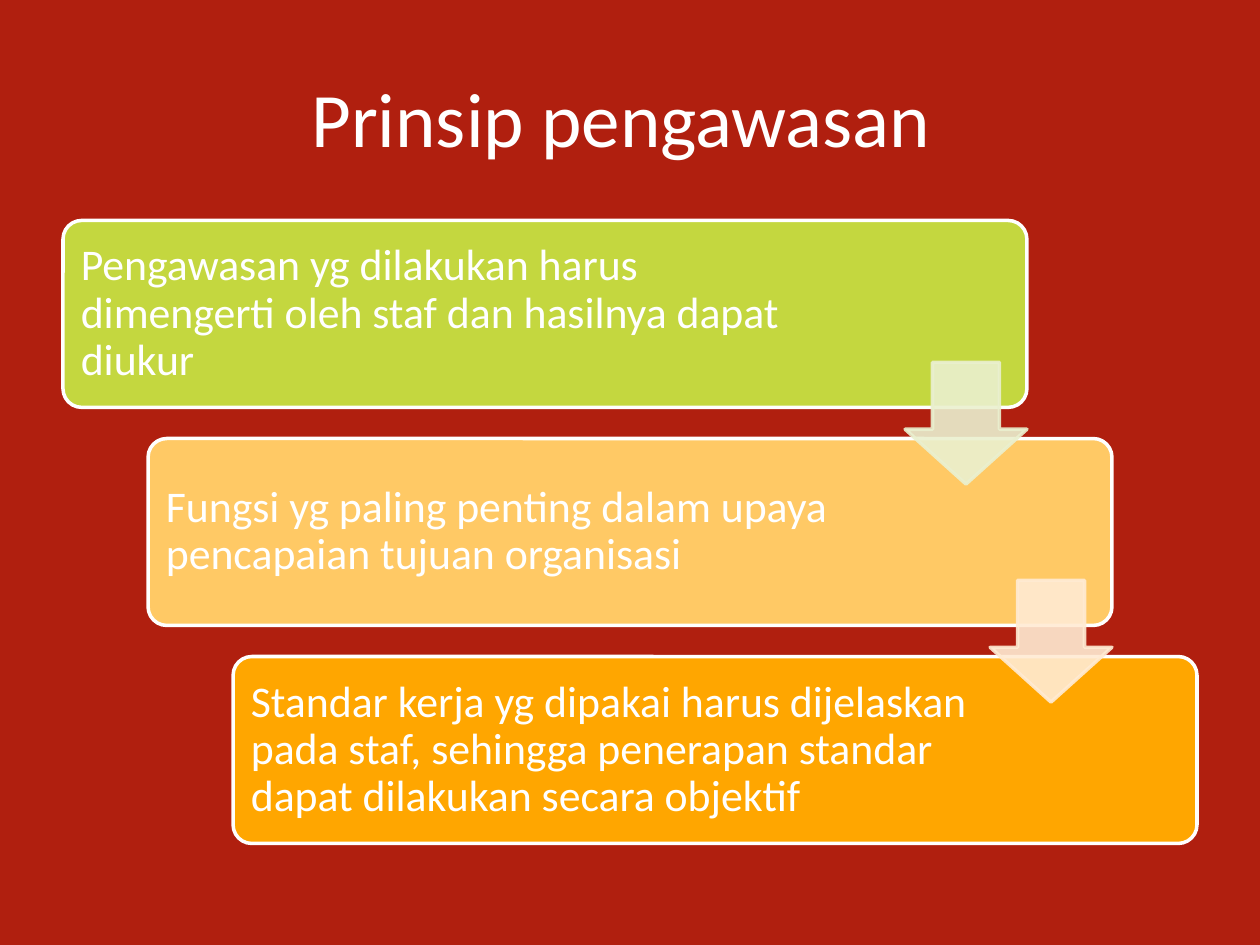
from dataclasses import dataclass

from lxml import etree
from pptx import Presentation
from pptx.dml.color import RGBColor
from pptx.enum.shapes import MSO_SHAPE
from pptx.enum.text import MSO_ANCHOR, PP_ALIGN
from pptx.oxml.ns import qn
from pptx.util import Pt

ROUNDED = MSO_SHAPE.ROUNDED_RECTANGLE
DOWN_ARROW = MSO_SHAPE.DOWN_ARROW
MIDDLE = MSO_ANCHOR.MIDDLE
LEFT, CENTER = PP_ALIGN.LEFT, PP_ALIGN.CENTER

FONT = "Calibri"
WHITE = "FFFFFF"
BOX_LEFT, BOX_TOP, BOX_W, BOX_H = 36, 126, 550.8, 106.8
STEP_X, STEP_Y = 48.6, 124.6
TEXT_GAP = 3.1
ARROW_SIZE, ARROW_DROP = 69.6, 81


@dataclass
class Principle:
    """One step of the staircase; arrow is the colour of the arrow leaving it."""
    text: str
    fill: str
    text_width: float
    arrow: str = ""


PRINCIPLES = [
    Principle("Pengawasan yg dilakukan harus dimengerti oleh staf dan hasilnya "
              "dapat diukur ", "C4D73F", 435.6, "EAF0CF"),
    Principle("Fungsi yg paling penting dalam upaya pencapaian tujuan organisasi ",
              "FFC965", 426, "FFEBD3"),
    Principle("Standar kerja yg dipakai harus dijelaskan pada staf, sehingga "
              "penerapan standar dapat dilakukan secara objektif ", "FFA600", 426),
]


def rgb(value: str) -> RGBColor:
    """Turn a hex string into a colour."""
    return RGBColor.from_string(value)


def add_shape(s, kind, x: float, y: float, w: float, h: float,
              adjustments: list[float], fill: str, line: str):
    """Add a filled, outlined preset shape without shadow."""
    sp = s.shapes.add_shape(kind, Pt(x), Pt(y), Pt(w), Pt(h))
    sp.shadow.inherit = False
    for i, value in enumerate(adjustments):
        sp.adjustments[i] = value
    sp.fill.solid()
    sp.fill.fore_color.rgb = rgb(fill)
    sp.line.color.rgb = rgb(line)
    sp.line.width = Pt(2)
    return sp


def set_opacity(sp, percent: int) -> None:
    """Make the fill and the line of a shape partly transparent."""
    for color in sp._element.spPr.iter(qn("a:srgbClr")):
        etree.SubElement(color, qn("a:alpha")).set("val", str(percent * 1000))


def add_text(s, text: str, x: float, y: float, w: float, h: float, size: float,
             align, spacing: float, inset_y: float) -> None:
    """Add a white, vertically centred text box."""
    tf = s.shapes.add_textbox(Pt(x), Pt(y), Pt(w), Pt(h)).text_frame
    tf.word_wrap = True
    tf.vertical_anchor = MIDDLE
    tf.margin_left = tf.margin_right = Pt(7.2)
    tf.margin_top = tf.margin_bottom = Pt(inset_y)
    tf.text = text
    p = tf.paragraphs[0]
    p.alignment = align
    p.line_spacing = spacing
    font = p.runs[0].font
    font.name, font.size = FONT, Pt(size)
    font.color.rgb = rgb(WHITE)


def main() -> None:
    """Build the slide and save it."""
    prs = Presentation()
    prs.slide_width, prs.slide_height = Pt(720), Pt(540)
    s = prs.slides.add_slide(prs.slide_layouts[6])
    s.background.fill.solid()
    s.background.fill.fore_color.rgb = rgb("B01F0F")
    add_text(s, "Prinsip pengawasan ", 36, 21.6, 648, 90, 44, CENTER, 1.0, 3.6)

    corners = [(BOX_LEFT + i * STEP_X, BOX_TOP + i * STEP_Y)
               for i in range(len(PRINCIPLES))]
    for item, (x, y) in zip(PRINCIPLES, corners):
        add_shape(s, ROUNDED, x, y, BOX_W, BOX_H, [0.1], item.fill, WHITE)
        add_text(s, item.text, x + TEXT_GAP, y + TEXT_GAP, item.text_width,
                 BOX_H - 2 * TEXT_GAP, 25, LEFT, 0.9, 7.2)
    for item, (x, y) in zip(PRINCIPLES, corners):
        if item.arrow:
            arrow = add_shape(s, DOWN_ARROW, x + BOX_W - ARROW_SIZE, y + ARROW_DROP,
                              ARROW_SIZE, ARROW_SIZE, [0.55, 0.45],
                              item.arrow, item.arrow)
            set_opacity(arrow, 90)
    prs.save("out.pptx")


main()
